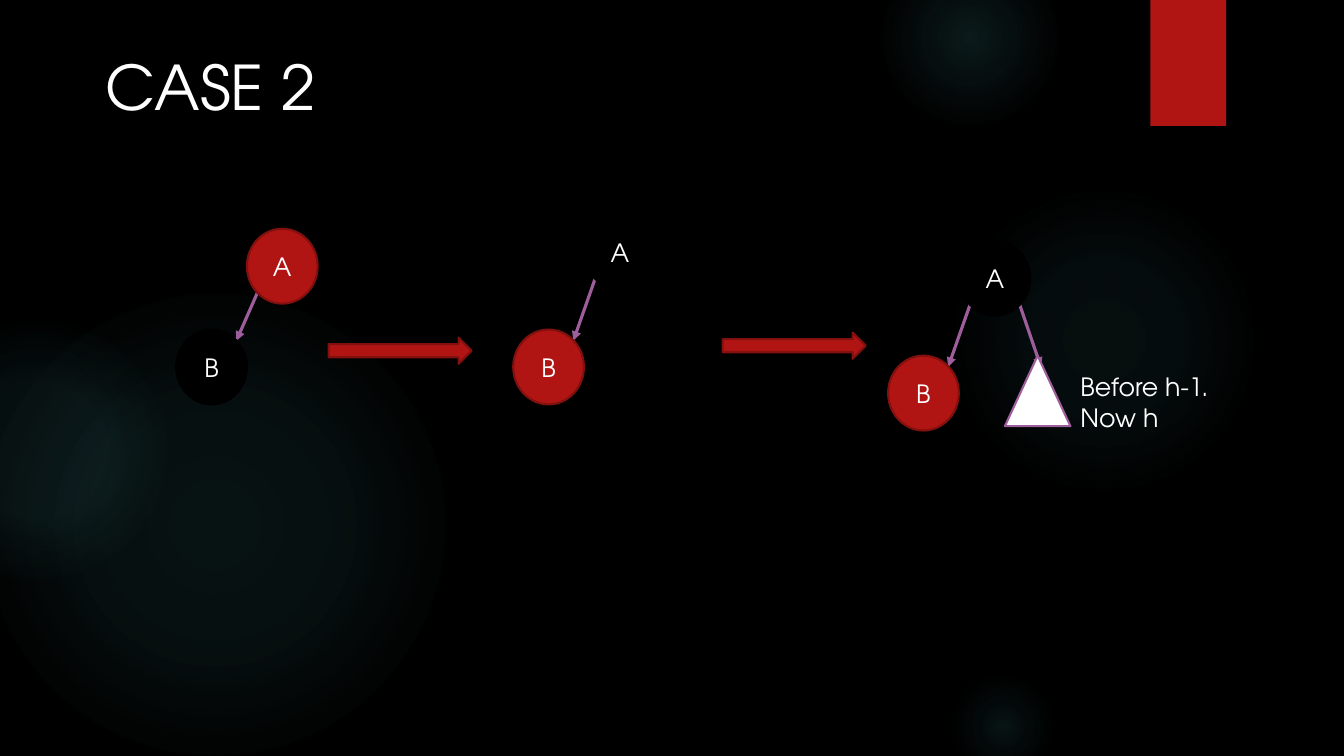
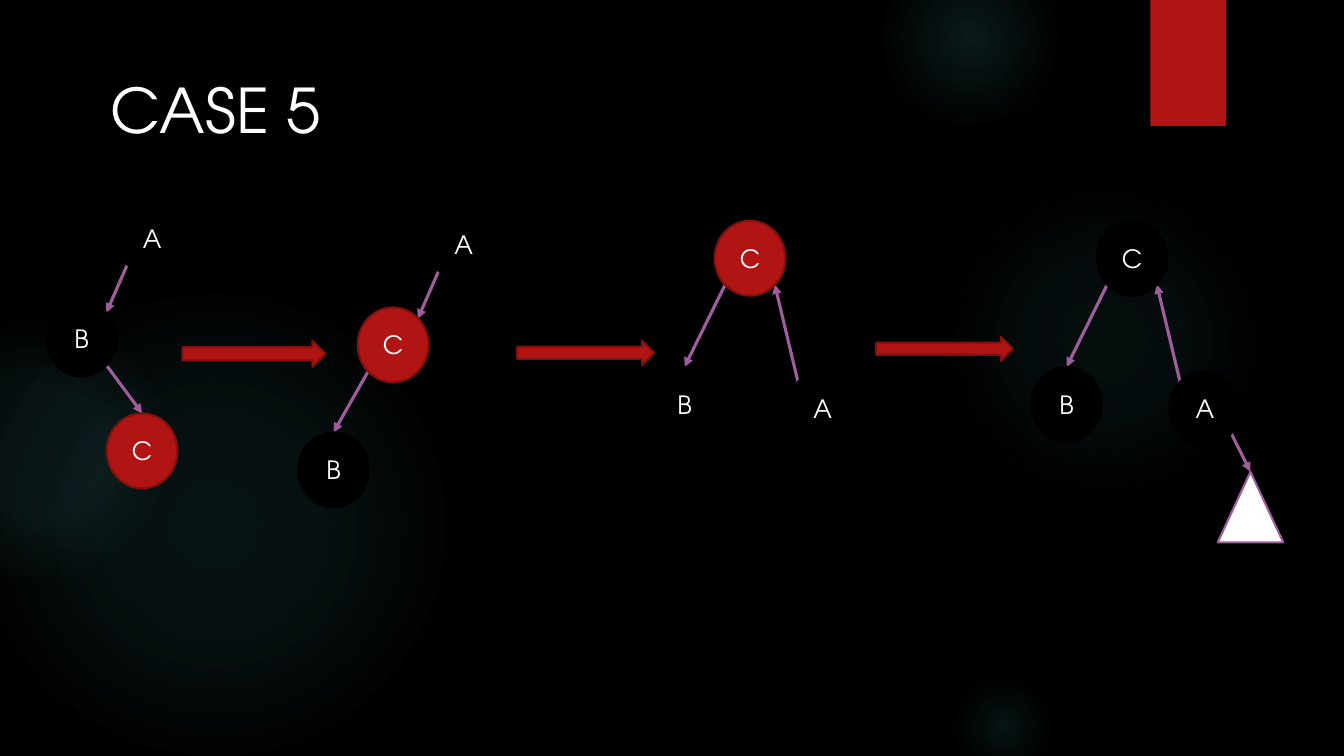
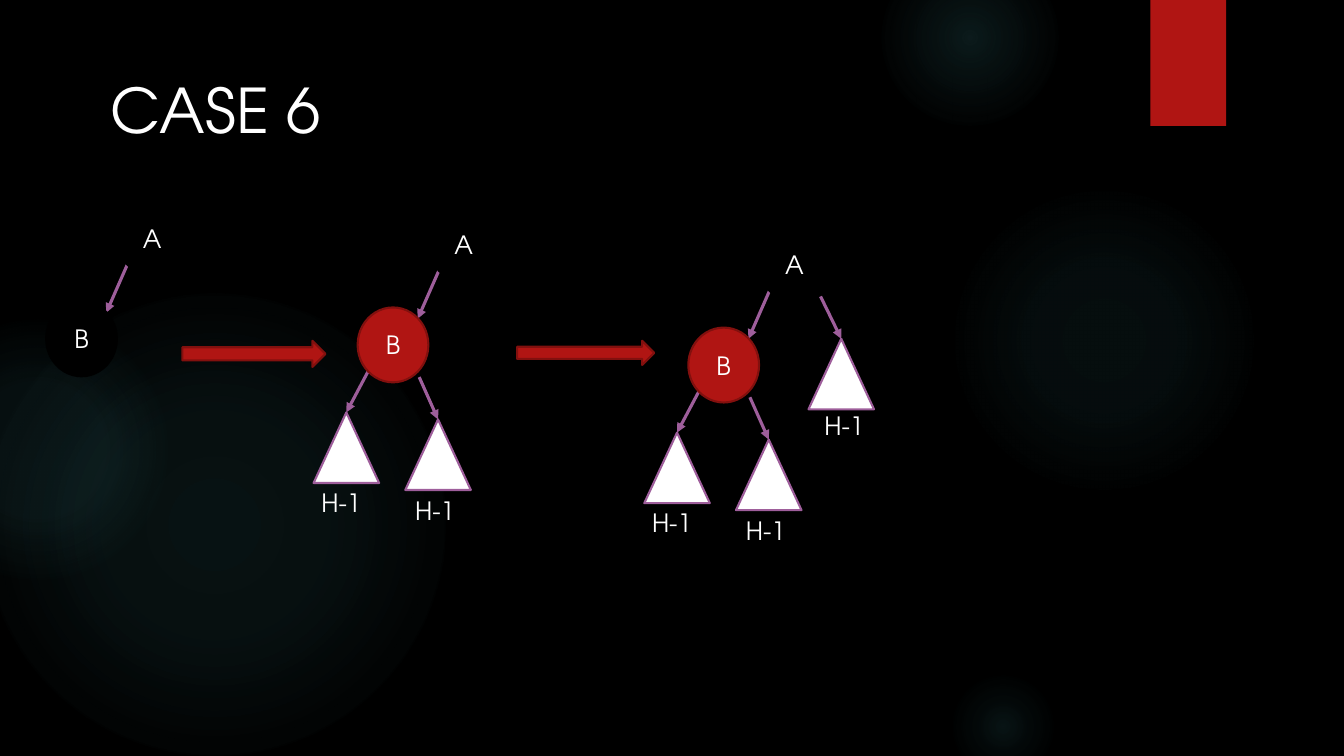
from lxml.etree import SubElement
from pptx import Presentation
from pptx.dml.color import RGBColor
from pptx.enum.shapes import MSO_CONNECTOR, MSO_SHAPE
from pptx.enum.text import MSO_ANCHOR, PP_ALIGN
from pptx.oxml.ns import qn
from pptx.util import Pt

FONT = "TeX Gyre Adventor"
BLACK = RGBColor(0x00, 0x00, 0x00)
WHITE = RGBColor(0xFF, 0xFF, 0xFF)
RED = RGBColor(0xB0, 0x15, 0x13)
DARK_RED = RGBColor(0x82, 0x10, 0x0E)
PURPLE = RGBColor(0x9E, 0x5E, 0x9B)
TEAL = RGBColor(0x50, 0xB9, 0xC1)

GLOWS = [
    (-12, 210, 330, [(0, 10), (36, 8), (75, 0)]),
    (-66, 228, 186, [(0, 8), (36, 8), (72, 0)]),
    (677.5, 132, 222, [(0, 7), (36, 6), (69, 0)]),
    (630, -36, 126, [(0, 14), (36, 7), (73, 0)]),
    (677.5, 480, 78, [(0, 11), (30, 5), (67, 0)]),
]
BAND = (821.75, 0, 54, 90)

NODE_STYLES = {
    "red": (MSO_SHAPE.OVAL, 50.5, 53.5, RED, DARK_RED),
    "black": (MSO_SHAPE.OVAL, 50.5, 53.5, BLACK, BLACK),
    "subtree": (MSO_SHAPE.ISOSCELES_TRIANGLE, 46.8, 50.4, WHITE, PURPLE),
}
SITES = {
    "top": (0.5, 0),
    "top left": (0.15, 0.15),
    "top right": (0.85, 0.15),
    "bottom left": (0.15, 0.85),
    "bottom right": (0.85, 0.85),
    "below right": (0.87, 0.93),
    "inside right": (0.84, 0.77),
    "inside tip": (0.55, 0.16),
}
LONG, SHORT = (102.2, 18.7), (97.9, 17.3)

CHILD = (-50.5, 72)
LOW_CHILD = (-51, 82)
A_TO_B = ("A", "bottom left", "B", "top right")
C_TO_B = ("C", "bottom left", "B", "top")
A_TO_C = ("A", "top left", "C", "bottom right")

PAIR_NODES = [("A", "black", 0, 0), ("B", "black", *CHILD)]
HEAVY_NODES = [
    ("A", "black", 0, 0), ("B", "red", *CHILD),
    ("left", "subtree", -82, 147), ("right", "subtree", -16.5, 152),
]
HEAVY_LINKS = [
    A_TO_B,
    ("B", "bottom left", "left", "top"),
    ("B", "below right", "right", "top"),
]
HEAVY_CAPTIONS = [("left", "H-1", -1.5, 49.7, 43.2), ("right", "H-1", 0, 50.4, 43.2)]
ROTATED_PLACES = {"C": (0, 0), "A": (52, 107.3), "B": (-46.8, 104.4)}


def rotated(root_style):
    return [(name, root_style if name == "C" else "black", *place)
            for name, place in ROTATED_PLACES.items()]


CASES = [
    {
        "title": ("CASE 2", 68.4, 31.7),
        "arrows": [(234.7, 241.2, LONG), (516.2, 237.6, LONG)],
        "trees": [
            (176.4, 163.4, [("A", "red", 0, 0), ("B", "black", *CHILD)], [A_TO_B], []),
            (417.6, 153.4, [("A", "black", 0, 0), ("B", "red", *LOW_CHILD)], [A_TO_B], []),
            (685.4, 172,
             [("A", "black", 0, 0), ("B", "red", *LOW_CHILD), ("right", "subtree", 32.4, 82)],
             [A_TO_B, ("A", "bottom right", "right", "inside tip")],
             [("right", "Before h-1.\nNow h", 46.8, 8, 108.7)]),
        ],
    },
    {
        "title": ("CASE 5", 72, 47.5),
        "arrows": [(130.3, 243.4, LONG), (369.4, 243.4, SHORT), (625.7, 240.5, SHORT)],
        "trees": [
            (83.5, 143.3, PAIR_NODES + [("C", "red", -7.2, 152)],
             [A_TO_B, ("B", "bottom right", "C", "top")], []),
            (306, 147.6,
             [("A", "black", 0, 0), ("C", "red", *CHILD), ("B", "black", -93, 161.3)],
             [("A", "bottom left", "C", "top right"), C_TO_B], []),
            (510.5, 157.7, rotated("red"), [A_TO_C, C_TO_B], []),
            (783.4, 157.7, rotated("black") + [("right", "subtree", 86.4, 179.3)],
             [A_TO_C, C_TO_B, ("A", "inside right", "right", "top")], []),
        ],
    },
    {
        "title": ("CASE 6", 72, 47.5),
        "arrows": [(130.3, 243.4, LONG), (369.4, 243.4, SHORT)],
        "trees": [
            (83.5, 143.3, PAIR_NODES, [A_TO_B], []),
            (306, 147.6, HEAVY_NODES, HEAVY_LINKS, HEAVY_CAPTIONS),
            (542.2, 162, HEAVY_NODES + [("far", "subtree", 35.3, 80)],
             HEAVY_LINKS + [("A", "below right", "far", "top")],
             HEAVY_CAPTIONS + [("far", "H-1", 4.3, 47.5, 43.2)]),
        ],
    },
]


def write_text(box, text, size=18, align=PP_ALIGN.LEFT, anchor=MSO_ANCHOR.TOP, wrap=False):
    frame = box.text_frame
    frame.word_wrap = wrap
    frame.vertical_anchor = anchor
    for number, line in enumerate(text.split("\n")):
        para = frame.add_paragraph() if number else frame.paragraphs[0]
        para.alignment = align
        span = para.add_run()
        span.text = line
        span.font.name = FONT
        span.font.size = Pt(size)
        span.font.color.rgb = WHITE


def add_figure(page, kind, left, top, width, height, fill, line=None):
    figure = page.shapes.add_shape(kind, Pt(left), Pt(top), Pt(width), Pt(height))
    figure.shadow.inherit = False
    figure.fill.solid()
    figure.fill.fore_color.rgb = fill
    if line is None:
        figure.line.fill.background()
    else:
        figure.line.color.rgb = line
        figure.line.width = Pt(1.5)
    return figure


def add_glow(page, left, top, size, stops):
    glow = add_figure(page, MSO_SHAPE.OVAL, left, top, size, size, TEAL)
    properties = glow.element.spPr
    solid = properties.find(qn("a:solidFill"))
    gradient = SubElement(properties, qn("a:gradFill"), rotWithShape="1")
    properties.replace(solid, gradient)
    stop_list = SubElement(gradient, qn("a:gsLst"))
    for position, opacity in stops:
        stop = SubElement(stop_list, qn("a:gs"), pos=str(position * 1000))
        colour = SubElement(stop, qn("a:srgbClr"), val=str(TEAL))
        SubElement(colour, qn("a:alpha"), val=str(opacity * 1000))
    shade = SubElement(gradient, qn("a:path"), path="circle")
    SubElement(shade, qn("a:fillToRect"), l="50000", t="50000", r="50000", b="50000")
    return glow


def add_link(page, start, end):
    link = page.shapes.add_connector(MSO_CONNECTOR.STRAIGHT, *map(Pt, start + end))
    link.line.color.rgb = PURPLE
    link.line.width = Pt(2.25)
    SubElement(link.line._get_or_add_ln(), qn("a:tailEnd"), type="triangle")
    SubElement(link.element.spPr, qn("a:effectLst"))


def add_tree(page, left, top, nodes, links, captions):
    places = {name: (left + across, top + down, style)
              for name, style, across, down in nodes}

    def site_point(name, site):
        node_left, node_top, style = places[name]
        width, height = NODE_STYLES[style][1:3]
        across, down = SITES[site]
        return node_left + across * width, node_top + down * height

    for parent, parent_site, child, child_site in links:
        add_link(page, site_point(parent, parent_site), site_point(child, child_site))
    for name, (node_left, node_top, style) in places.items():
        kind, width, height, fill, line = NODE_STYLES[style]
        node = add_figure(page, kind, node_left, node_top, width, height, fill, line)
        if style != "subtree":
            write_text(node, name, align=PP_ALIGN.CENTER, anchor=MSO_ANCHOR.MIDDLE, wrap=True)
    for name, text, across, down, width in captions:
        node_left, node_top, _ = places[name]
        height = 7.2 + 21.8 * len(text.split("\n"))
        box = page.shapes.add_textbox(Pt(node_left + across), Pt(node_top + down),
                                      Pt(width), Pt(height))
        write_text(box, text)


def decorate(layout, page):
    decorations = [add_glow(page, *glow) for glow in GLOWS]
    decorations.append(add_figure(page, MSO_SHAPE.RECTANGLE, *BAND, RED))
    for decoration in decorations:
        layout.shapes.element.append(decoration.element)


deck = Presentation()
deck.slide_width, deck.slide_height = Pt(960), Pt(540)
background = deck.slide_master.background.fill
background.solid()
background.fore_color.rgb = BLACK
title_only = deck.slide_layouts[5]

for number, case in enumerate(CASES):
    page = deck.slides.add_slide(title_only)
    if number == 0:
        decorate(title_only, page)
    text, left, top = case["title"]
    title = page.shapes.title
    title.left, title.top, title.width, title.height = Pt(left), Pt(top), Pt(166.3), Pt(60.5)
    write_text(title, text, size=44)
    for left, top, size in case["arrows"]:
        add_figure(page, MSO_SHAPE.RIGHT_ARROW, left, top, *size, RED, DARK_RED)
    for tree in case["trees"]:
        add_tree(page, *tree)

deck.save("out.pptx")
